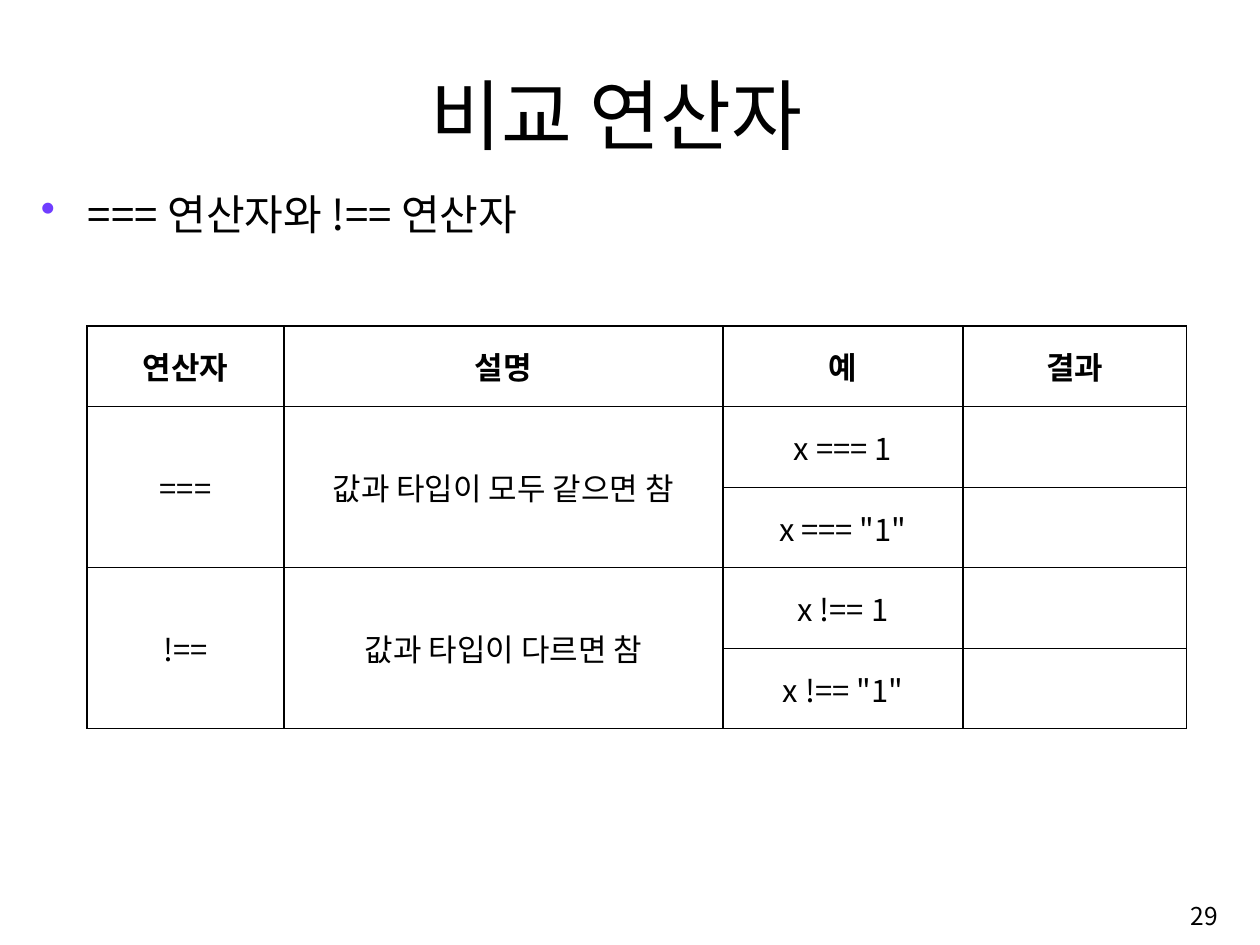
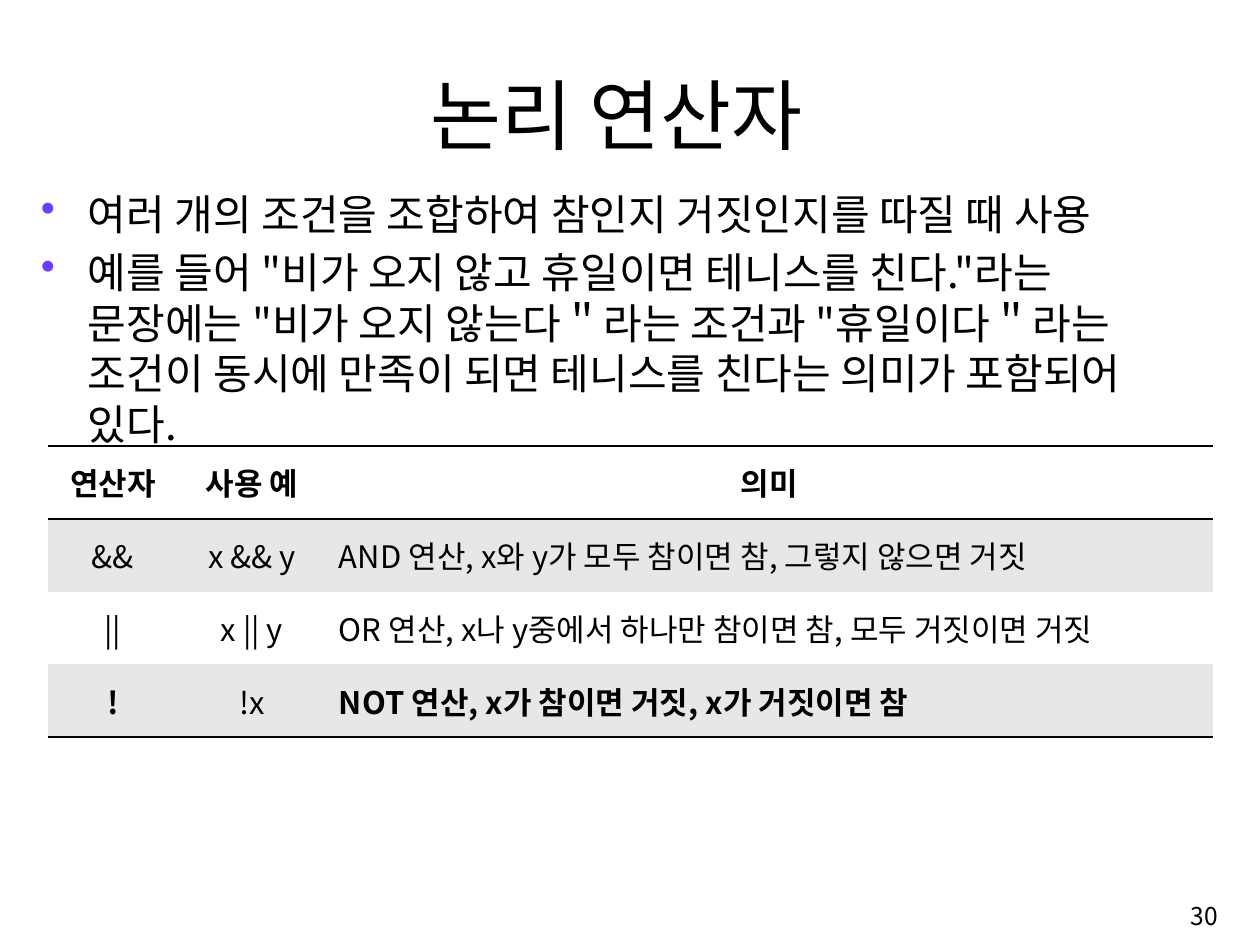
from lxml import etree
from pptx import Presentation
from pptx.dml.color import RGBColor
from pptx.enum.text import MSO_ANCHOR, PP_ALIGN
from pptx.oxml.ns import qn
from pptx.util import Pt

LEFT, CENTER, RIGHT = PP_ALIGN.LEFT, PP_ALIGN.CENTER, PP_ALIGN.RIGHT
TOP, MIDDLE, BOTTOM = MSO_ANCHOR.TOP, MSO_ANCHOR.MIDDLE, MSO_ANCHOR.BOTTOM

PX = 914400 / 97
FONT = "Noto Sans CJK KR"
COLORS = {"text": "000000", "bullet": "703DFF", "line": "000000",
          "plain": "FFFFFF", "band": "E7E7E7"}
TITLE_ONLY = 5

# Boxes shared by the slides: left, top, width, height in px
SLIDE_SIZE = (1260, 945)
TITLE_BOX = (102, 59, 1029, 105)
BODY_BOX = (31, 183, 1195, 685)
NUMBER_BOX = (968, 887, 260, 58)


def px(length):
    return round(length * PX)


def rgb(name):
    return RGBColor.from_string(COLORS[name])


def format_para(para, size, align, bold=False):
    para.alignment = align
    for span in para.runs:
        font = span.font
        font.size, font.bold, font.name = Pt(size), bold, FONT
        font.color.rgb = rgb("text")


def set_frame(frame, anchor, margins=(10, 5, 10, 5)):
    frame.word_wrap = True
    frame.vertical_anchor = anchor
    (frame.margin_left, frame.margin_top,
     frame.margin_right, frame.margin_bottom) = map(px, margins)


def add_title(page, box, text):
    title = page.shapes.title
    title.left, title.top, title.width, title.height = map(px, box)
    frame = title.text_frame
    frame.text = text
    set_frame(frame, BOTTOM, (10, 5, 10, 4))
    format_para(frame.paragraphs[0], 57.2, CENTER)


def add_bullets(page, box, lines):
    frame = page.shapes.add_textbox(*map(px, box)).text_frame
    set_frame(frame, TOP, (10, 5, 25, 5))
    frame.text = "\n".join(lines)
    for para in frame.paragraphs:
        format_para(para, 31.2, LEFT)
        para.space_before = Pt(6.2)
        properties = para._p.get_or_add_pPr()
        properties.set("marL", str(px(47)))
        properties.set("indent", str(px(-47)))
        color = etree.SubElement(properties, qn("a:buClr"))
        etree.SubElement(color, qn("a:srgbClr")).set("val", COLORS["bullet"])
        etree.SubElement(properties, qn("a:buChar")).set("char", "•")


def add_page_number(page, box, number):
    frame = page.shapes.add_textbox(*map(px, box)).text_frame
    set_frame(frame, MIDDLE)
    frame.text = str(number)
    format_para(frame.paragraphs[0], 18.2, RIGHT)


def set_borders(cell, widths):
    """Draw the sides named in widths (points) and clear the others."""
    properties = cell._tc.get_or_add_tcPr()
    for side in "LRTB":
        line = etree.SubElement(properties, qn("a:ln" + side))
        if side in widths:
            line.set("w", str(Pt(widths[side])))
            fill = etree.SubElement(line, qn("a:solidFill"))
            etree.SubElement(fill, qn("a:srgbClr")).set("val", COLORS["line"])
        else:
            line.set("w", "0")
            etree.SubElement(line, qn("a:noFill"))


def add_grid(page, box, columns, rows, style):
    """Add a table; style(row, column) gives borders, fill, align and bold."""
    left, top, width, height = box
    table = page.shapes.add_table(len(rows), len(columns), px(left), px(top),
                                  px(width), px(height)).table
    table.first_row = table.horz_banding = False
    for column, column_width in zip(table.columns, columns):
        column.width = px(column_width)
    for r, texts in enumerate(rows):
        table.rows[r].height = px(height / len(rows))
        for c, text in enumerate(texts):
            cell = table.cell(r, c)
            borders, fill, align, bold = style(r, c)
            set_borders(cell, borders)
            cell.fill.solid()
            cell.fill.fore_color.rgb = rgb(fill)
            cell.vertical_anchor = MIDDLE
            cell.margin_left = cell.margin_right = px(13)
            cell.margin_top = cell.margin_bottom = px(6)
            if text:
                cell.text_frame.text = text
                format_para(cell.text_frame.paragraphs[0], 23, align, bold)
    return table


def add_slide(deck, title, bullets, number):
    page = deck.slides.add_slide(deck.slide_layouts[TITLE_ONLY])
    add_title(page, TITLE_BOX, title)
    add_bullets(page, BODY_BOX, bullets)
    add_page_number(page, NUMBER_BOX, number)
    return page


def build_comparison(deck):
    page = add_slide(deck, "비교 연산자", ["=== 연산자와 !== 연산자"], 29)
    rows = [
        ("연산자", "설명", "예", "결과"),
        ("===", "값과 타입이 모두 같으면 참", "x === 1", ""),
        ("", "", 'x === "1"', ""),
        ("!==", "값과 타입이 다르면 참", "x !== 1", ""),
        ("", "", 'x !== "1"', ""),
    ]

    def boxed(row, column):
        return dict.fromkeys("LRTB", 1), "plain", CENTER, row == 0

    table = add_grid(page, (87, 326, 1100, 403), (197, 439, 240, 224),
                     rows, boxed)
    # Each operator and its description span two examples
    for row in (1, 3):
        for column in (0, 1):
            table.cell(row, column).merge(table.cell(row + 1, column))


def build_logic(deck):
    page = add_slide(deck, "논리 연산자", [
        "여러 개의 조건을 조합하여 참인지 거짓인지를 따질 때 사용",
        '예를 들어 "비가 오지 않고 휴일이면 테니스를 친다."라는 문장에는 '
        '"비가 오지 않는다＂라는 조건과 "휴일이다＂라는 조건이 동시에 '
        "만족이 되면 테니스를 친다는 의미가 포함되어 있다.",
    ], 30)
    rows = [
        ("연산자", "사용 예", "의미"),
        ("&&", "x && y", "AND 연산, x와 y가 모두 참이면 참, 그렇지 않으면 거짓"),
        ("||", "x || y", "OR 연산, x나 y중에서 하나만 참이면 참, 모두 거짓이면 거짓"),
        ("!", "!x", "NOT 연산, x가 참이면 거짓, x가 거짓이면 참"),
    ]
    last = len(rows) - 1

    def banded(row, column):
        borders = {0: {"T": 2, "B": 2}, 1: {"T": 2}, last: {"B": 2}}
        fill = "band" if row % 2 else "plain"
        align = LEFT if row and column == 2 else CENTER
        bold = row == 0 or (row == last and column != 1)
        return borders.get(row, {}), fill, align, bold

    add_grid(page, (48, 446, 1165, 291), (130, 148, 887), rows, banded)


def main():
    deck = Presentation()
    deck.slide_width, deck.slide_height = map(px, SLIDE_SIZE)
    build_comparison(deck)
    build_logic(deck)
    deck.save("out.pptx")


if __name__ == "__main__":
    main()
